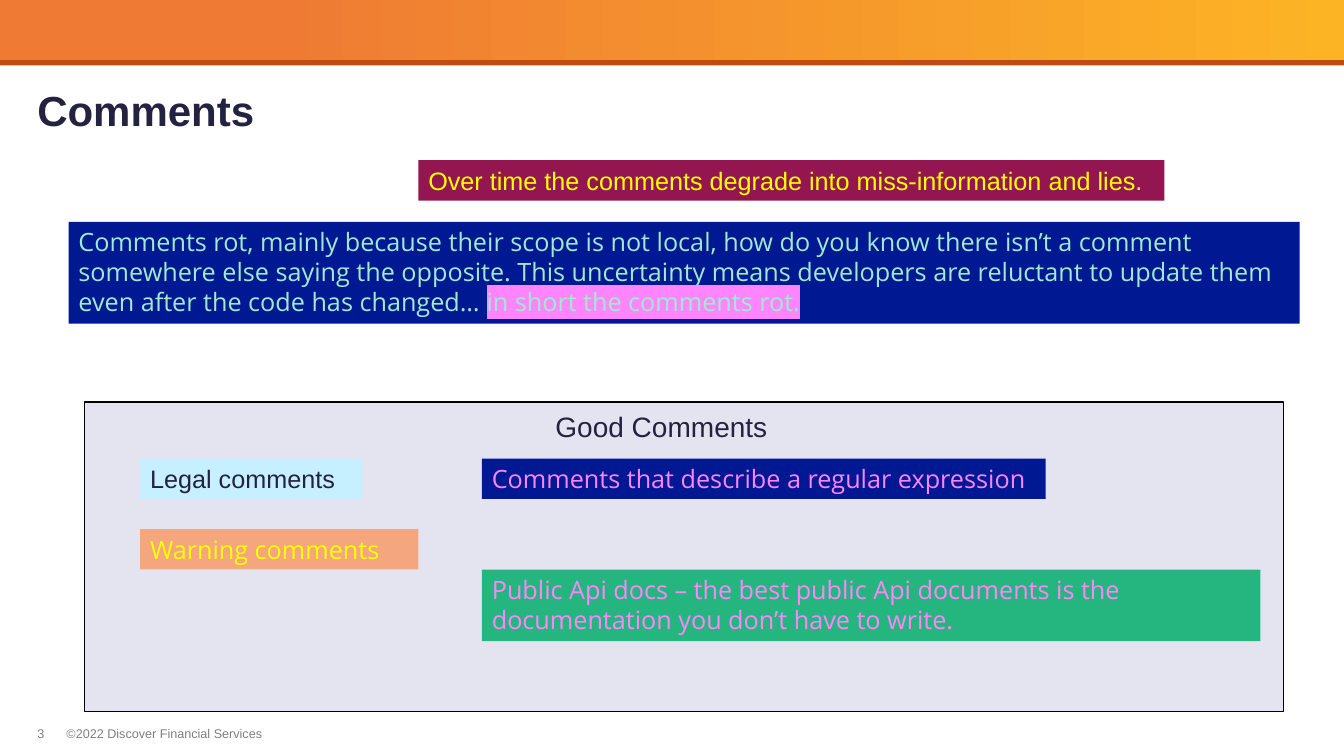
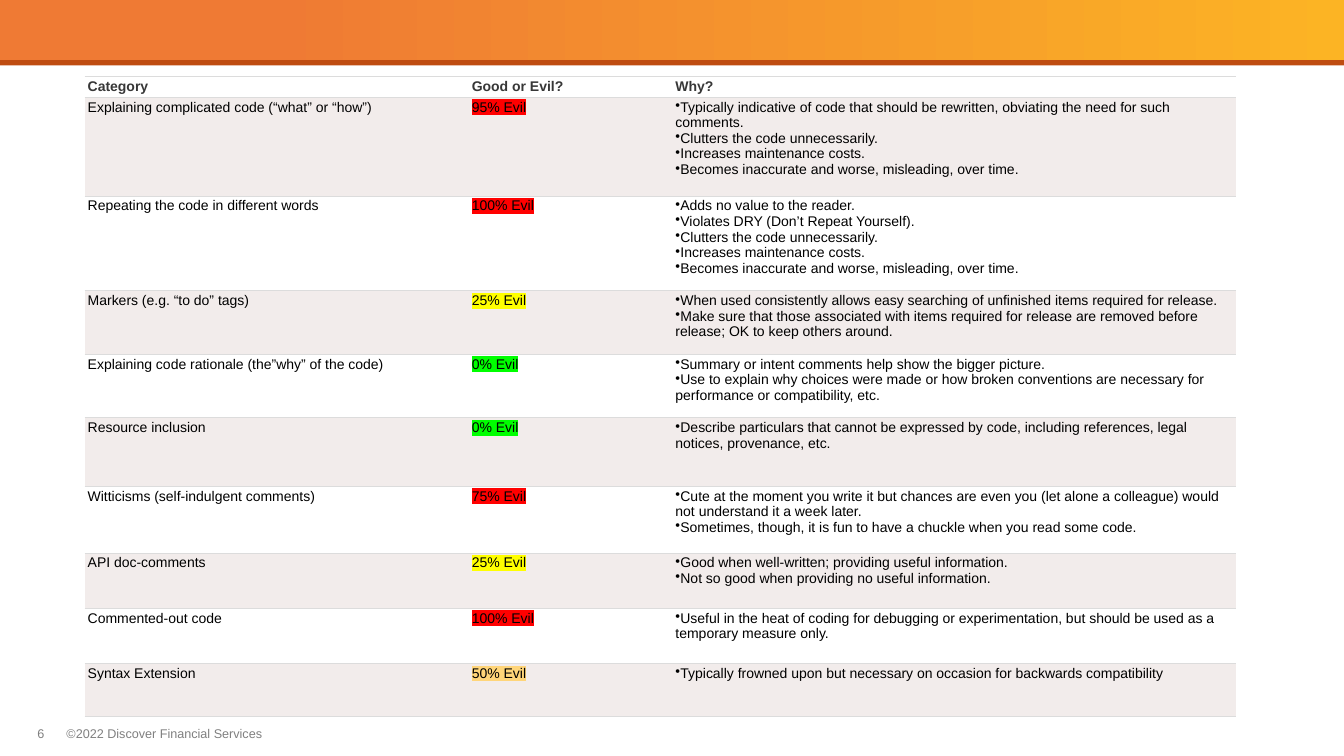
"""Build two slides on good and evil code comments."""
from lxml.etree import SubElement
from pptx import Presentation
from pptx.dml.color import RGBColor
from pptx.enum.shapes import MSO_SHAPE as Shape
from pptx.enum.text import MSO_ANCHOR as Anchor
from pptx.oxml import parse_xml
from pptx.oxml.ns import nsdecls, qn
from pptx.util import Inches, Pt

WHITE = RGBColor(0xFF, 0xFF, 0xFF)
BLACK = RGBColor(0x00, 0x00, 0x00)
INK = RGBColor(0x23, 0x22, 0x41)
GREY = RGBColor(0x80, 0x80, 0x80)
HEADER = RGBColor(0x37, 0x37, 0x37)
RULE = RGBColor(0xDC, 0xDC, 0xDC)
STRIPE = RGBColor(0xF2, 0xEC, 0xEB)
RUST = RGBColor(0xBF, 0x4C, 0x11)
AMBER = RGBColor(0xFC, 0xB4, 0x24)
ORANGE = RGBColor(0xEF, 0x7A, 0x34)
LAVENDER = RGBColor(0xE4, 0xE4, 0xF1)
PLUM = RGBColor(0x94, 0x16, 0x51)
NAVY = RGBColor(0x01, 0x18, 0x93)
MINT = RGBColor(0x9E, 0xEB, 0xCF)
PINK = RGBColor(0xFF, 0x85, 0xFF)
SKY = RGBColor(0xC6, 0xF0, 0xFF)
PEACH = RGBColor(0xF4, 0xA6, 0x7F)
GREEN = RGBColor(0x25, 0xB6, 0x80)
RED = RGBColor(0xFF, 0x00, 0x00)
YELLOW = RGBColor(0xFF, 0xFF, 0x00)
LIME = RGBColor(0x00, 0xFF, 0x00)
SAND = RGBColor(0xFF, 0xD5, 0x79)

SANS, OPEN = "Arial", "Open Sans"
OPEN_SPACING = Pt(21.4)
COPYRIGHT = "©2022 Discover Financial Services"

LEFT, RIGHT = 1.39, 4.78
CALLOUTS = [
    ((4.15, 1.59, 7.4, 0.4), PLUM, YELLOW, SANS,
     [("Over time the comments degrade into miss-information and lies.", None)]),
    ((0.68, 2.2, 12.21, 1.01), NAVY, MINT, OPEN,
     [("Comments rot, mainly because their scope is not local, how do you know there isn’t "
       "a comment somewhere else saying the opposite. This uncertainty means developers are "
       "reluctant to update them even after the code has changed… ", None),
      ("in short the comments rot.", PINK)]),
    ((LEFT, 4.55, 2.2, 0.4), SKY, INK, SANS, [("Legal comments", None)]),
    ((RIGHT, 4.55, 5.59, 0.4), NAVY, PINK, OPEN,
     [("Comments that describe a regular expression", None)]),
    ((LEFT, 5.25, 2.76, 0.4), PEACH, YELLOW, OPEN, [("Warning comments", None)]),
    ((RIGHT, 5.65, 7.72, 0.71), GREEN, PINK, OPEN,
     [("Public Api docs – the best public Api documents is the documentation "
       "you don’t have to write.", None)]),
]

HEADINGS = ["Category", "Good or Evil?", "Why?"]
HEADING_HEIGHT = 0.19
COLUMN_WIDTHS = [3.81, 2.02, 5.59]
EVIL_COLOURS = {0: LIME, 25: YELLOW, 50: SAND, 75: RED, 95: RED, 100: RED}
COSTS = ["Clutters the code unnecessarily.", "Increases maintenance costs.",
         "Becomes inaccurate and worse, misleading, over time."]
CATEGORIES = [
    (0.98, "Explaining complicated code (“what” or “how”)", 95,
     ["Typically indicative of code that should be rewritten, obviating the need for such "
      "comments.", *COSTS]),
    (0.94, "Repeating the code in different words", 100,
     ["Adds no value to the reader.", "Violates DRY (Don’t Repeat Yourself).", *COSTS]),
    (0.63, "Markers (e.g. “to do” tags)", 25,
     ["When used consistently allows easy searching of unfinished items required for release.",
      "Make sure that those associated with items required for release are removed before "
      "release; OK to keep others around."]),
    (0.63, "Explaining code rationale (the”why” of the code)", 0,
     ["Summary or intent comments help show the bigger picture.",
      "Use to explain why choices were made or how broken conventions are necessary for "
      "performance or compatibility, etc."]),
    (0.68, "Resource inclusion", 0,
     ["Describe particulars that cannot be expressed by code, including references, legal "
      "notices, provenance, etc."]),
    (0.66, "Witticisms (self-indulgent comments)", 75,
     ["Cute at the moment you write it but chances are even you (let alone a colleague) would "
      "not understand it a week later.",
      "Sometimes, though, it is fun to have a chuckle when you read some code."]),
    (0.55, "API doc-comments", 25,
     ["Good when well-written; providing useful information.",
      "Not so good when providing no useful information."]),
    (0.55, "Commented-out code", 100,
     ["Useful in the heat of coding for debugging or experimentation, but should be used as a "
      "temporary measure only."]),
    (0.52, "Syntax Extension", 50,
     ["Typically frowned upon but necessary on occasion for backwards compatibility"]),
]


def add_span(para, text, size, colour, face=SANS, bold=False, highlight=None):
    span = para.add_run()
    span.text = text
    font = span.font
    font.size, font.bold, font.name = Pt(size), bold, face
    font.color.rgb = colour
    if highlight is not None:
        mark = parse_xml(f'<a:highlight {nsdecls("a")}><a:srgbClr val="{highlight}"/></a:highlight>')
        span._r.get_or_add_rPr().find(qn("a:solidFill")).addnext(mark)


def add_box(page, place, margins=(0.1, 0.05, 0.1, 0.05), wrap=True):
    box = page.shapes.add_textbox(*map(Inches, place))
    frame = box.text_frame
    frame.word_wrap = wrap
    (frame.margin_left, frame.margin_top,
     frame.margin_right, frame.margin_bottom) = map(Inches, margins)
    return box


def add_rectangle(page, place):
    rectangle = page.shapes.add_shape(Shape.RECTANGLE, *map(Inches, place))
    rectangle.shadow.inherit = False
    rectangle.line.fill.background()
    return rectangle


def add_page(deck, number):
    page = deck.slides.add_slide(deck.slide_layouts[6])
    edge = add_rectangle(page, (0, 0, 13.33, 0.65))
    edge.fill.solid()
    edge.fill.fore_color.rgb = RUST
    band = add_rectangle(page, (0, 0, 13.33, 0.6))
    band.fill.gradient()
    band.fill.gradient_angle = 180
    for stop, colour, position in zip(band.fill.gradient_stops, (AMBER, ORANGE), (0, 0.8)):
        stop.color.rgb = colour
        stop.position = position
    for left, width, text in ((0.66, 1.96, COPYRIGHT), (0.37, 0.15, str(number))):
        footer = add_box(page, (left, 7.2, width, 0.15), (0, 0, 0, 0), wrap=False)
        add_span(footer.text_frame.paragraphs[0], text, 9, GREY)
    return page


def add_title(page, text):
    box = add_box(page, (0.37, 0.65, 12.6, 0.85), (0, 0.1, 0, 0))
    box.text_frame.vertical_anchor = Anchor.MIDDLE
    para = box.text_frame.paragraphs[0]
    para.line_spacing = 0.85
    add_span(para, text, 30, INK, bold=True)


def build_comments(deck):
    page = add_page(deck, 3)
    panel = add_rectangle(page, (0.84, 3.99, 11.89, 3.07))
    panel.fill.solid()
    panel.fill.fore_color.rgb = LAVENDER
    panel.line.color.rgb = BLACK
    panel.line.width = Pt(1)
    add_title(page, "Comments")
    for place, fill, colour, face, spans in CALLOUTS:
        box = add_box(page, place)
        box.fill.solid()
        box.fill.fore_color.rgb = fill
        para = box.text_frame.paragraphs[0]
        if face == OPEN:
            para.line_spacing = OPEN_SPACING
        for text, highlight in spans:
            add_span(para, text, 18, colour, face, highlight=highlight)
    heading = add_box(page, (5.41, 4.05, 2.32, 0.4), wrap=False).text_frame.paragraphs[0]
    heading.line_spacing = 0.9
    add_span(heading, "Good Comments", 20, INK)


def style_cell(cell, fill):
    cell.margin_left = cell.margin_right = Inches(0.03)
    cell.margin_top = cell.margin_bottom = Inches(0.02)
    cell.fill.solid()
    cell.fill.fore_color.rgb = fill
    properties = cell._tc.get_or_add_tcPr()
    for index, side in enumerate("LRTB"):
        if side in "TB":
            paint = f'<a:solidFill><a:srgbClr val="{RULE}"/></a:solidFill>'
        else:
            paint = "<a:noFill/>"
        properties.insert(index, parse_xml(
            f'<a:ln{side} {nsdecls("a")} w="{Pt(0.75)}">{paint}</a:ln{side}>'))


def add_bullets(frame, reasons):
    for index, reason in enumerate(reasons):
        para = frame.add_paragraph() if index else frame.paragraphs[0]
        properties = para._p.get_or_add_pPr()
        properties.set("marL", "0")
        properties.set("indent", "0")
        SubElement(properties, qn("a:buChar")).set("char", "•")
        add_span(para, reason, 10, BLACK)


def build_verdicts(deck):
    page = add_page(deck, 6)
    heights = [HEADING_HEIGHT] + [category[0] for category in CATEGORIES]
    table = page.shapes.add_table(
        len(heights), len(HEADINGS), Inches(0.84), Inches(0.76),
        Inches(sum(COLUMN_WIDTHS)), Inches(sum(heights))).table
    for column, width in zip(table.columns, COLUMN_WIDTHS):
        column.width = Inches(width)
    for index, (row, height) in enumerate(zip(table.rows, heights)):
        row.height = Inches(height)
        for cell in row.cells:
            style_cell(cell, STRIPE if index % 2 else WHITE)
    for column, heading in enumerate(HEADINGS):
        para = table.cell(0, column).text_frame.paragraphs[0]
        add_span(para, heading, 10, HEADER, bold=True)
    for index, (_, category, evil, reasons) in enumerate(CATEGORIES, 1):
        name, verdict, why = (table.cell(index, column).text_frame for column in range(3))
        add_span(name.paragraphs[0], category, 10, BLACK)
        add_span(verdict.paragraphs[0], f"{evil}% Evil", 10, BLACK, highlight=EVIL_COLOURS[evil])
        add_bullets(why, reasons)


def main():
    deck = Presentation()
    deck.slide_width, deck.slide_height = Inches(13.33), Inches(7.5)
    build_comments(deck)
    build_verdicts(deck)
    deck.save("out.pptx")


if __name__ == "__main__":
    main()
